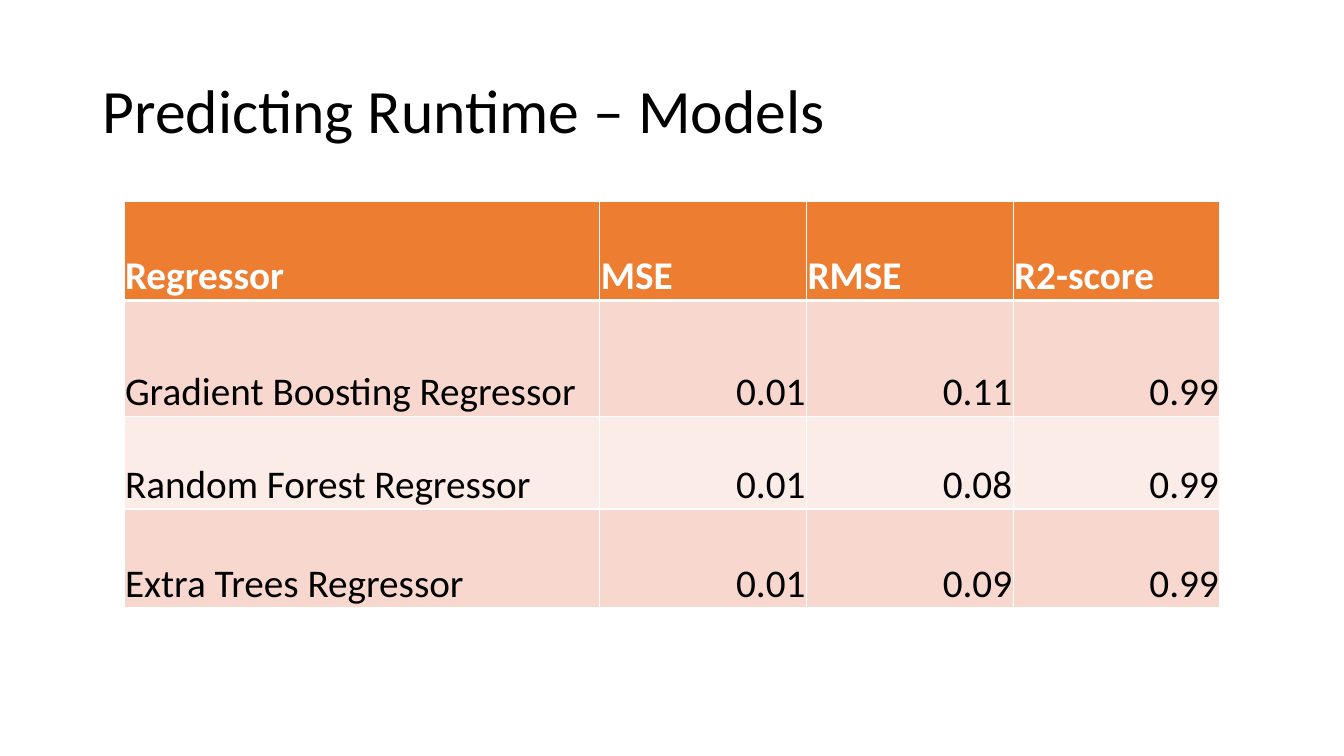
"""Builds a slide with a table of runtime regressors and their scores."""
from lxml import etree
from pptx import Presentation, util as u
from pptx.dml.color import RGBColor
from pptx.enum import text
from pptx.oxml.ns import qn

COLORS = {"header": "ED7D31", "odd": "F8D7CE", "even": "FCECE8",
          "white": "FFFFFF", "black": "000000"}
SCORES = [
    ("Regressor", "MSE", "RMSE", "R2-score"),
    ("Gradient Boosting Regressor", "0.01", "0.11", "0.99"),
    ("Random Forest Regressor", "0.01", "0.08", "0.99"),
    ("Extra Trees Regressor", "0.01", "0.09", "0.99"),
]
COLUMN_WIDTHS = [4.72, 2.05, 2.05, 2.05]
ROW_HEIGHTS = [0.98, 1.15, 0.92, 0.98]


def write(frame, words, size=28, color="black", bold=False,
          align=text.PP_ALIGN.LEFT, spacing=1.0):
    paragraph = frame.paragraphs[0]
    paragraph.alignment = align
    paragraph.line_spacing = spacing
    run = paragraph.add_run()
    run.text = words
    run.font.name = "Calibri"
    run.font.size = u.Pt(size)
    run.font.bold = bold
    run.font.color.rgb = RGBColor.from_string(COLORS[color])


def add_border(cell, side, points):
    line = etree.SubElement(cell._tc.get_or_add_tcPr(), qn(f"a:ln{side}"), w=str(u.Pt(points)))
    fill = etree.SubElement(line, qn("a:solidFill"))
    etree.SubElement(fill, qn("a:srgbClr"), val=COLORS["white"])


deck = Presentation()
deck.slide_width = u.Inches(13.33)
deck.slide_height = u.Inches(7.5)
slide = deck.slides.add_slide(deck.slide_layouts[6])

title = slide.shapes.add_textbox(u.Inches(0.92), u.Inches(0.4), u.Inches(11.5), u.Inches(1.45)).text_frame
title.word_wrap = True
title.vertical_anchor = text.MSO_ANCHOR.MIDDLE
write(title, "Predicting Runtime – Models", size=44, spacing=0.9)

scores = slide.shapes.add_table(
    len(SCORES), len(COLUMN_WIDTHS), u.Inches(1.23), u.Inches(2),
    u.Inches(sum(COLUMN_WIDTHS)), u.Inches(sum(ROW_HEIGHTS))).table
for column, width in zip(scores.columns, COLUMN_WIDTHS):
    column.width = u.Inches(width)
for row, height in zip(scores.rows, ROW_HEIGHTS):
    row.height = u.Inches(height)

for r, entries in enumerate(SCORES):
    header = r == 0
    band = "header" if header else "odd" if r % 2 else "even"
    for c, entry in enumerate(entries):
        cell = scores.cell(r, c)
        cell.margin_left = cell.margin_right = cell.margin_top = u.Inches(0.01)
        cell.margin_bottom = 0
        cell.vertical_anchor = text.MSO_ANCHOR.BOTTOM
        for side, points in (("L", 1), ("R", 1), ("T", 3 if r == 1 else 1), ("B", 3 if header else 1)):
            add_border(cell, side, points)
        cell.fill.solid()
        cell.fill.fore_color.rgb = RGBColor.from_string(COLORS[band])
        numeric = not header and c > 0
        write(cell.text_frame, entry, bold=header, color="white" if header else "black",
              align=text.PP_ALIGN.RIGHT if numeric else text.PP_ALIGN.LEFT)

deck.save("out.pptx")
